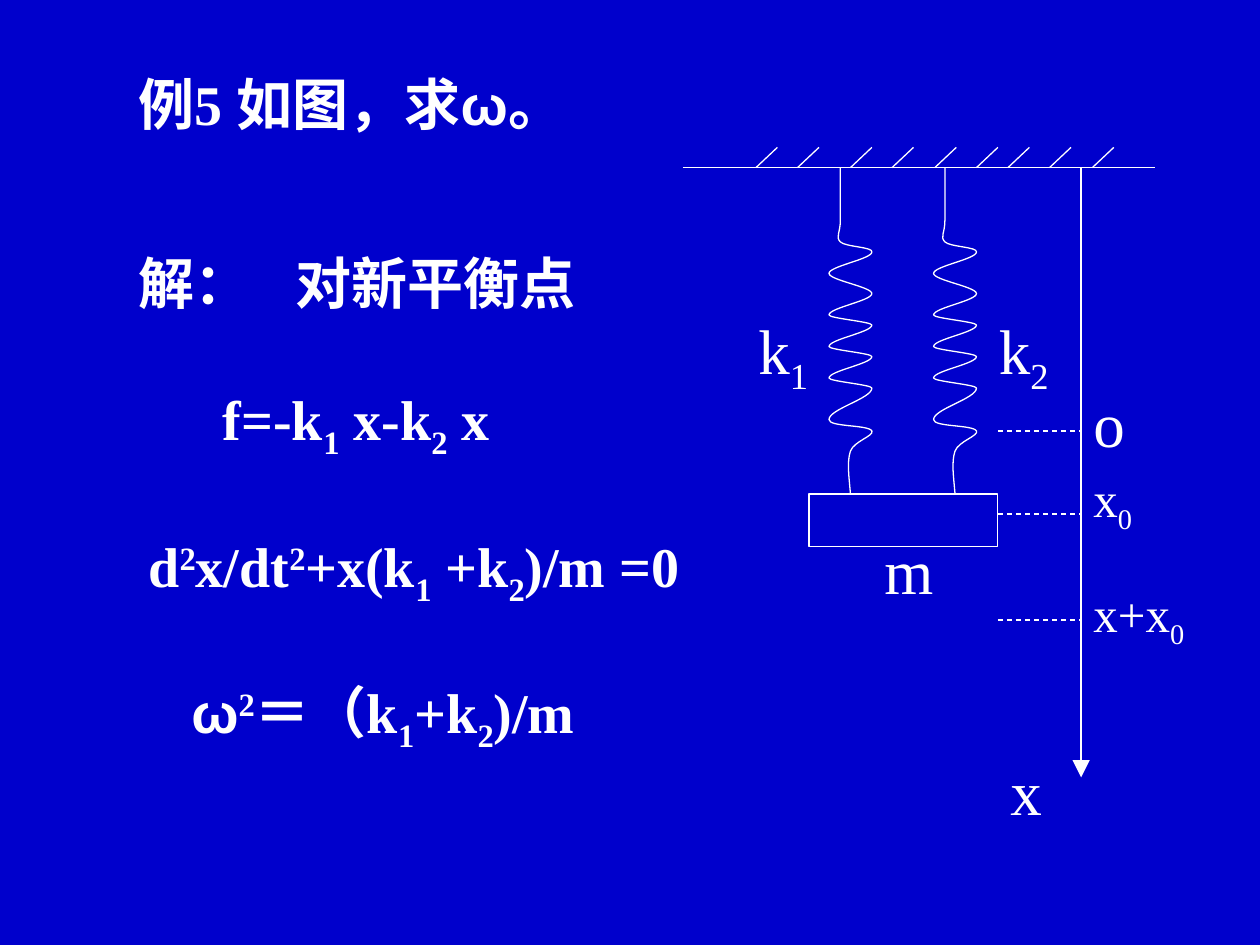
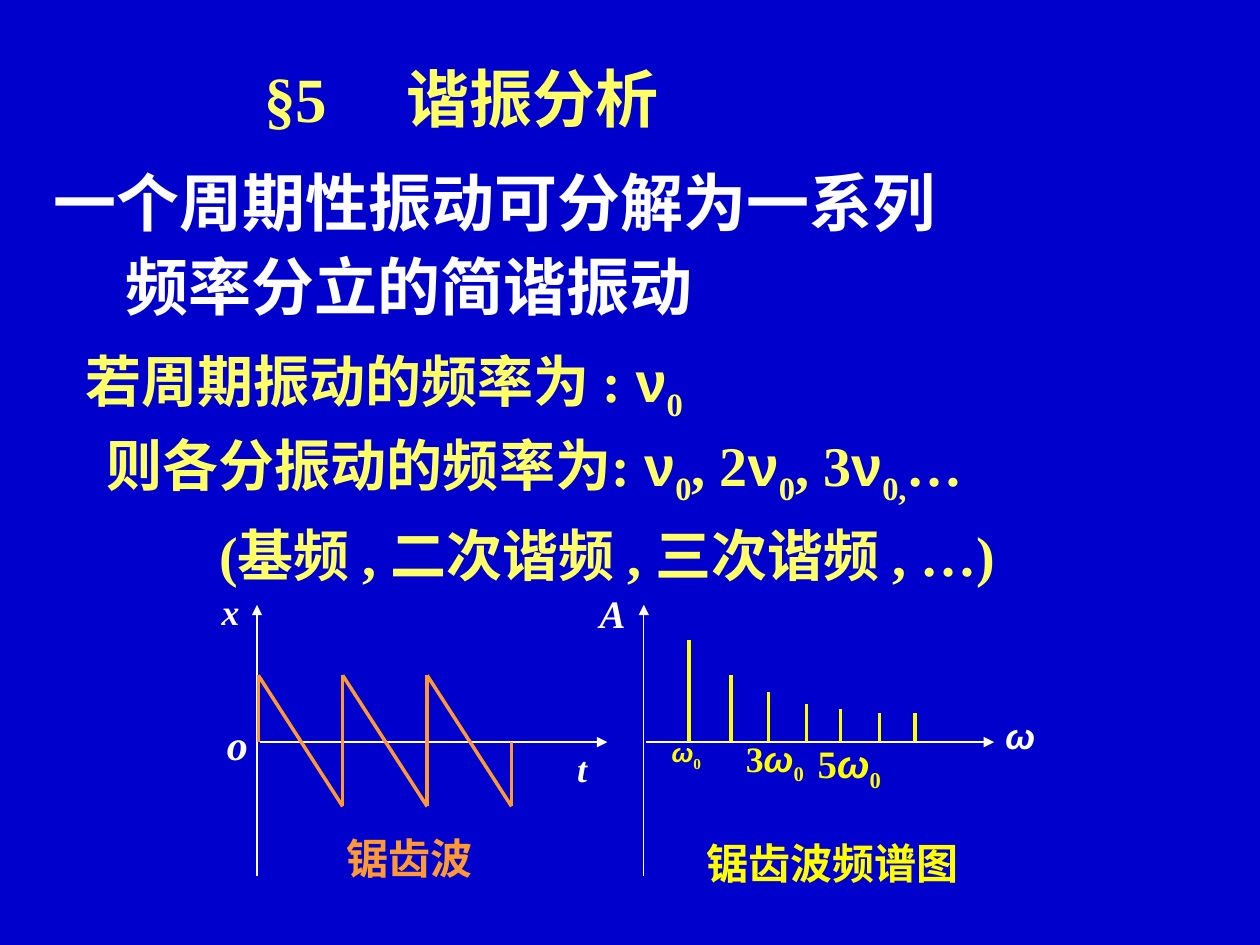
from dataclasses import dataclass
from typing import NamedTuple

from lxml import etree
from pptx import Presentation
from pptx.dml.color import RGBColor
from pptx.enum.dml import MSO_LINE
from pptx.enum.shapes import MSO_CONNECTOR, MSO_SHAPE
from pptx.oxml.ns import qn
from pptx.util import Cm, Pt

STRAIGHT = MSO_CONNECTOR.STRAIGHT
RECTANGLE = MSO_SHAPE.RECTANGLE
DASH = MSO_LINE.DASH

COLORS = {
    "background": "0000CC",
    "white": "FFFFFF",
    "pale": "FFFF66",
    "yellow": "FFFF00",
    "orange": "FF9933",
}
TEXT_FONT, GREEK_FONT = "Times New Roman", "Arial"
WIDE, TIGHT = 0.1, 0.01  # side insets of text boxes

CEILING_Y, X_AXIS = 1.33, 8.58
HATCHES = (6, 6.33, 6.75, 7.08, 7.42, 7.75, 8, 8.33, 8.67)
SPRINGS = (6.67, 7.5)
MARKS = (3.42, 4.08, 4.92)
COIL_LEFT, COIL_RIGHT = -0.09, 0.25
COIL_TURNS = (2, 2.17, 2.33, 2.5, 2.58, 2.75, 2.83, 3, 3.08, 3.33)

ZERO_Y, PEAK_Y, TROUGH_Y = 5.89, 5.36, 6.4
TOOTH_X, TOOTH_WIDTH = 2.05, 0.67
SPECTRUM = ((5.47, 5.08), (5.8, 5.36), (6.1, 5.49), (6.4, 5.59),
            (6.67, 5.63), (6.98, 5.66), (7.26, 5.66))

Point = tuple[float, float]


class Para(NamedTuple):
    """Text with pieces split by |; a leading _ lowers and a leading ^ raises a piece."""
    text: str
    margin: float = 0
    first_indent: float = 0
    gap: float = 0  # points added to a piece that is a lone space
    before: float = 0
    spacing: float = 1


@dataclass
class Label:
    left: float
    top: float
    width: float
    height: float
    paras: tuple[Para, ...]
    size: float
    color: str = "white"
    bold: bool = True
    italic: bool = False
    inset: float = WIDE


def inch(value: float) -> int:
    return Cm(value * 2.54)


def rgb(name: str) -> RGBColor:
    return RGBColor.from_string(COLORS[name])


def style(target, formats: dict) -> None:
    for name, value in formats.items():
        setattr(target, name, value)


def style_line(shape, color: str, width: float) -> None:
    shape.line.color.rgb = rgb(color)
    shape.line.width = Pt(width)


def add_run(p, piece: str, label: Label, gap: float) -> None:
    r = p.add_run()
    baseline = {"_": "-25000", "^": "30000"}.get(piece[0])
    r.text = piece[1:] if baseline else piece
    style(r.font, {
        "name": GREEK_FONT if r.text in ("ω", "ν") else TEXT_FONT,
        "size": Pt(label.size),
        "bold": label.bold,
        "italic": label.italic and not r.text.isdigit(),
    })
    r.font.color.rgb = rgb(label.color)
    if baseline:
        r.font._element.set("baseline", baseline)
    if piece == " ":
        r.font._element.set("spc", str(round(gap * 100)))


def add_label(s, label: Label) -> None:
    box = (label.left, label.top, label.width, label.height)
    tf = s.shapes.add_textbox(*map(inch, box)).text_frame
    side, end = inch(label.inset), inch(min(label.inset, 0.05))
    style(tf, {"word_wrap": True, "margin_left": side, "margin_right": side,
               "margin_top": end, "margin_bottom": end})
    for i, para in enumerate(label.paras):
        p = tf.add_paragraph() if i else tf.paragraphs[0]
        style(p, {"space_before": Pt(para.before), "line_spacing": para.spacing})
        pPr = p._p.get_or_add_pPr()
        pPr.set("marL", str(inch(para.margin)))
        pPr.set("indent", str(inch(para.first_indent)))
        for piece in para.text.split("|"):
            add_run(p, piece, label, para.gap)


def add_line(s, start: Point, end: Point, color: str = "white",
             width: float = 0.75, dashed: bool = False, arrow: str = "") -> None:
    """Draw a line; arrow is the size of the head at its end."""
    line = s.shapes.add_connector(STRAIGHT, *map(inch, (*start, *end)))
    style_line(line, color, width)
    if dashed:
        line.line.dash_style = DASH
    if arrow:
        etree.SubElement(line.line._get_or_add_ln(), qn("a:tailEnd"),
                         type="triangle", w=arrow, len=arrow)
    etree.SubElement(line._element.spPr, qn("a:effectLst"))


def spring_curves() -> list[tuple[Point, Point, Point]]:
    """Two control points and the end of each curve, x counted from the hanger."""
    curves = [((0, 1.49), (0, 1.65), (0, 1.75)),
              ((0, 1.85), (-0.04, 1.88), (0, 1.92)),
              ((0.04, 1.96), (0.26, 1.96), (COIL_RIGHT, 2))]
    for i, (y0, y1) in enumerate(zip(COIL_TURNS, COIL_TURNS[1:])):
        x0, x1 = (COIL_LEFT, COIL_RIGHT) if i % 2 else (COIL_RIGHT, COIL_LEFT)
        third = (y1 - y0) / 3
        curves.append(((x0, y0 + third), (x1, y1 - third), (x1, y1)))
    return curves + [((COIL_LEFT, 3.39), (0.22, 3.37), (COIL_RIGHT, 3.42)),
                     ((0.27, 3.46), (0.11, 3.5), (0.08, 3.58)),
                     ((0.05, 3.67), (0.07, 3.79), (0.08, 3.92))]


def add_spring(s, x: float) -> None:
    curves = [[(inch(x + dx), inch(y)) for dx, y in curve] for curve in spring_curves()]
    builder = s.shapes.build_freeform(inch(x), inch(CEILING_Y))
    builder.add_line_segments([curve[-1] for curve in curves], close=False)
    spring = builder.convert_to_shape()
    spring.shadow.inherit = False
    spring.fill.background()
    style_line(spring, "white", 0.75)
    segments = list(spring._element.iter(qn("a:lnTo")))
    for segment, curve in zip(segments, curves):
        bend = etree.Element(qn("a:cubicBezTo"))
        for px, py in curve:
            etree.SubElement(bend, qn("a:pt"), x=str(px - spring.left),
                             y=str(py - spring.top))
        segment.getparent().replace(segment, bend)


def add_axes(s, x: float) -> None:
    add_line(s, (x, 6.95), (x, 4.8), arrow="med")
    add_line(s, (x + 0.02, ZERO_Y), (x + 2.78, ZERO_Y), arrow="med")


def new_slide(prs):
    s = prs.slides.add_slide(prs.slide_layouts[6])
    s.background.fill.solid()
    s.background.fill.fore_color.rgb = rgb("background")
    return s


def build_springs_slide(prs) -> None:
    s = new_slide(prs)
    add_line(s, (5.42, CEILING_Y), (9.17, CEILING_Y))
    for x in HATCHES:
        add_line(s, (x + 0.17, 1.17), (x, CEILING_Y))
    for x in SPRINGS:
        add_spring(s, x)
    mass = s.shapes.add_shape(RECTANGLE, *map(inch, (6.42, 3.92, 1.5, 0.42)))
    mass.shadow.inherit = False
    mass.fill.background()
    style_line(mass, "white", 0.75)
    add_line(s, (X_AXIS, CEILING_Y), (X_AXIS, 6.17), arrow="lg")
    for y in MARKS:
        add_line(s, (7.92, y), (X_AXIS, y), dashed=True)

    for left, top, width, height, text, size in (
        (X_AXIS, 3, 0.92, 0.7, "o", 36),
        (X_AXIS, 3.67, 0.92, 0.63, "x|_0", 28),
        (X_AXIS, 4.58, 1.42, 0.63, "x+x|_0", 28),
        (7.92, 5.92, 0.92, 0.7, "x", 36),
        (5.92, 2.42, 0.83, 0.79, "k|_1", 36),
        (7.83, 2.42, 1, 0.79, "k|_2", 36),
        (6.92, 4.17, 1.08, 0.7, "m", 36),
    ):
        add_label(s, Label(left, top, width, height, (Para(text),), size, bold=False))

    for left, top, width, height, text in (
        (1, 0.5, 7.33, 0.64, "例5 如图，求|ω|。"),
        (1, 1.92, 1.17, 0.64, "解："),
        (2.25, 1.92, 3.25, 0.64, "对新平衡点"),
        (1.67, 3, 3.75, 0.71, "f=-k|_1| x-k|_2| x"),
        (1.08, 4.17, 4.58, 0.71, "d|^2|x/dt|^2|+x(k|_1| +k|_2|)/m =0"),
        (1.42, 5.33, 4.33, 0.71, "ω|^2|＝（k|_1|+k|_2|)/m"),
    ):
        add_label(s, Label(left, top, width, height, (Para(text),), 32))


def build_harmonics_slide(prs) -> None:
    s = new_slide(prs)
    for label in (
        Label(2, 0.42, 4.08, 0.7, (Para("§5| |谐振分析", gap=36),), 36, "pale"),
        Label(0.33, 1.25, 8.67, 1.36,
              (Para("一个周期性振动可分解为一系列"),
               Para("频率分立的简谐振动", margin=0.57, before=4.5)), 36),
        Label(0.58, 2.7, 7.08, 0.71,
              (Para("若周期振动的频率为 : |ν|_0"),), 32, "pale"),
        Label(0.75, 3.25, 7.75, 2.11,
              (Para("则各分振动的频率为: |ν|_0|, 2|ν|_0|, 3|ν|_0,|…", spacing=1.2),
               Para("(基频 , 二次谐频 , 三次谐频 , …)",
                    first_indent=0.89, spacing=1.2)), 32, "pale"),
    ):
        add_label(s, label)

    add_axes(s, 2.04)
    for i in range(3):
        x = TOOTH_X + i * TOOTH_WIDTH
        x_next = x + TOOTH_WIDTH
        for start, end in (((x, PEAK_Y), (x, ZERO_Y)),
                           ((x_next, ZERO_Y), (x_next, TROUGH_Y)),
                           ((x, PEAK_Y), (x_next, TROUGH_Y))):
            add_line(s, start, end, "orange", 2)

    add_axes(s, 5.11)
    for x, top in SPECTRUM:
        add_line(s, (x, top), (x, ZERO_Y), "yellow", 2)

    for left, top, width, height, text, size, color, italic, spacing in (
        (1.75, 4.67, 0.34, 0.36, "x", 20.4, "white", True, 1),
        (1.79, 5.69, 0.31, 0.43, "o", 24, "white", True, 1),
        (4.57, 5.92, 0.34, 0.38, "t", 20.4, "white", True, 1),
        (2.74, 6.6, 1.43, 0.46, "锯齿波", 24, "orange", False, 1),
        (4.75, 4.67, 0.31, 0.41, "A", 22.2, "white", True, 1),
        (7.97, 5.69, 0.36, 0.37, "ω", 20.4, "white", True, 0.9),
        (5.32, 5.86, 0.4, 0.35, "ω|_0", 15, "yellow", True, 0.8),
        (5.91, 5.84, 0.71, 0.41, "3|ω|_0", 20.4, "yellow", True, 1),
        (6.48, 5.86, 0.54, 0.45, "5|ω|_0", 22.2, "yellow", True, 1),
        (5.6, 6.64, 2.46, 0.45, "锯齿波频谱图", 24, "yellow", False, 1),
    ):
        add_label(s, Label(left, top, width, height, (Para(text, spacing=spacing),),
                           size, color, italic=italic, inset=TIGHT))


def main() -> None:
    prs = Presentation()
    style(prs, {"slide_width": inch(10), "slide_height": inch(7.5)})
    build_springs_slide(prs)
    build_harmonics_slide(prs)
    prs.save("out.pptx")


if __name__ == "__main__":
    main()
